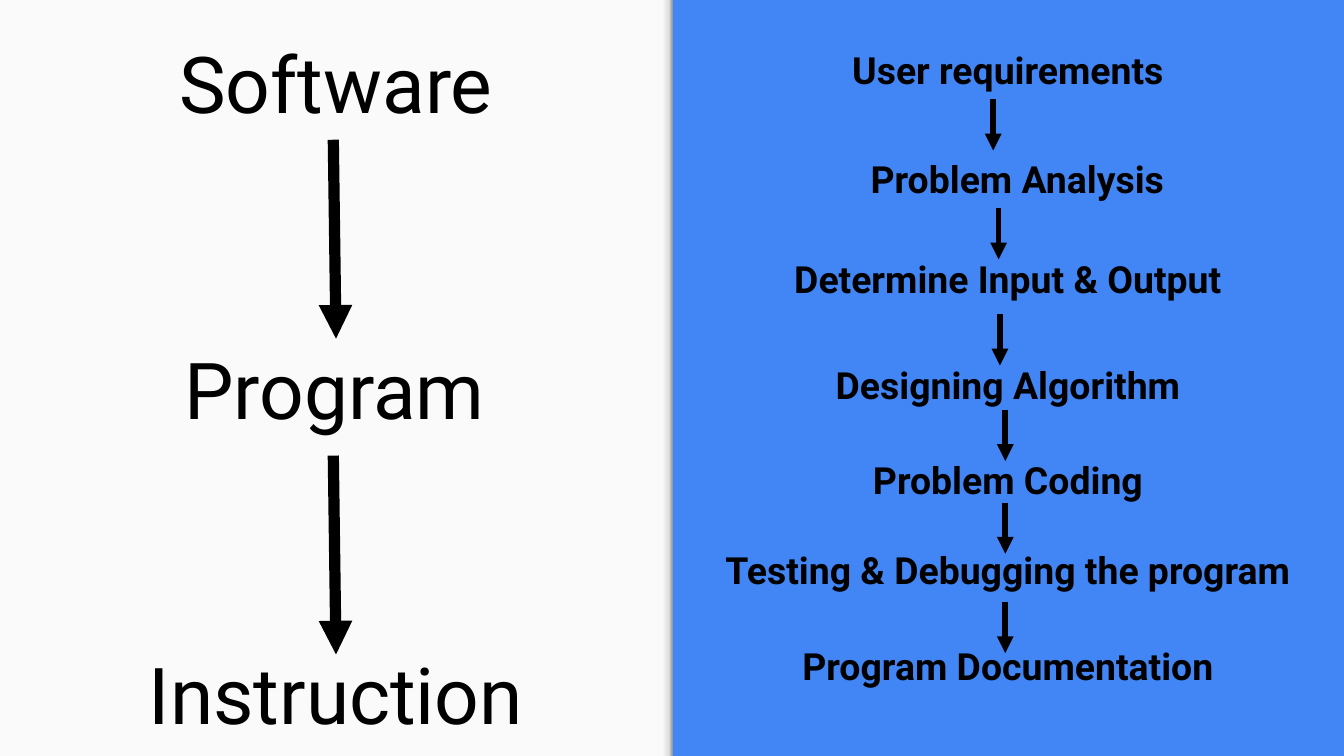
from copy import deepcopy

from lxml.etree import SubElement
from pptx import Presentation
from pptx.dml.color import RGBColor
from pptx.enum.shapes import MSO_CONNECTOR, MSO_SHAPE
from pptx.enum.text import MSO_ANCHOR, PP_ALIGN
from pptx.oxml.ns import qn
from pptx.util import Inches, Pt

WIDTH = 10
HEIGHT = WIDTH * 9 / 16
LABEL_WIDTH, LABEL_HEIGHT = 4.42, 0.77
BLACK, BLUE, PALE = "000000", "4285F4", "FAFAFA"
EDGE_STOPS = [(0, "F9F9F9"), (0.36, "F9F9F9"), (0.8, "DEDEDE"), (1, "999999")]

# Label text, left, top
LEVELS = [
    ("Software", 0.29, 0.23),
    ("Program", 0.28, 2.5),
    ("Instruction", 0.29, 4.77),
]
STEPS = [
    ("User requirements", 5.29, 0.13),
    ("Problem Analysis", 5.36, 0.94),
    ("Determine Input & Output", 5.29, 1.69),
    ("Designing Algorithm", 5.29, 2.48),
    ("Problem Coding", 5.29, 3.18),
    ("Testing & Debugging the program", 5.29, 3.85),
    ("Program Documentation", 5.29, 4.57),
]
# Arrow start: x, y
LEVEL_ARROWS = [(2.48, 1.04), (2.48, 3.39)]
STEP_ARROWS = [(7.39, 0.74), (7.43, 1.55), (7.44, 2.34),
               (7.48, 3.05), (7.48, 3.74), (7.48, 4.48)]


def color(value):
    return RGBColor.from_string(value)


def set_format(target, values):
    for name, value in values.items():
        setattr(target, name, value)


def add_rectangle(slide, left, top, width, height):
    shape = slide.shapes.add_shape(
        MSO_SHAPE.RECTANGLE, *map(Inches, (left, top, width, height)))
    shape.shadow.inherit = False
    shape.line.fill.background()
    return shape


def add_panel(slide):
    panel = add_rectangle(slide, 0, 0, WIDTH / 2, HEIGHT)
    panel.fill.solid()
    panel.fill.fore_color.rgb = color(PALE)


def add_edge_shade(slide):
    """Shade the panel's right edge with a turned gradient strip."""
    shade = add_rectangle(slide, 2.13, 2.75, HEIGHT, 0.12)
    shade.rotation = 90
    shade.fill.gradient()
    shade.fill.gradient_angle = 90
    stop_list = shade.fill._fill._gradFill.gsLst
    while len(stop_list) < len(EDGE_STOPS):
        stop_list.append(deepcopy(stop_list[0]))
    for stop, (position, value) in zip(shade.fill.gradient_stops, EDGE_STOPS):
        stop.position = position
        stop.color.rgb = color(value)


def add_label(slide, text, left, top, size, bold):
    box = slide.shapes.add_textbox(
        *map(Inches, (left, top, LABEL_WIDTH, LABEL_HEIGHT)))
    frame = box.text_frame
    margins = {f"margin_{side}": Inches(0.1)
               for side in ("left", "top", "right", "bottom")}
    set_format(frame, {"word_wrap": True,
                       "vertical_anchor": MSO_ANCHOR.MIDDLE, **margins})
    paragraph = frame.paragraphs[0]
    paragraph.alignment = PP_ALIGN.CENTER
    run = paragraph.add_run()
    run.text = text
    set_format(run.font, {"name": "Roboto", "size": Pt(size), "bold": bold})
    run.font.color.rgb = color(BLACK)


def add_arrow(slide, x, y, shift, length, weight):
    arrow = slide.shapes.add_connector(
        MSO_CONNECTOR.STRAIGHT, *map(Inches, (x, y, x + shift, y + length)))
    arrow.line.width = Pt(weight)
    arrow.line.color.rgb = color(BLACK)
    SubElement(arrow.line._get_or_add_ln(), qn("a:tailEnd"), type="triangle")
    SubElement(arrow._element.spPr, qn("a:effectLst"))


def main():
    presentation = Presentation()
    set_format(presentation, {"slide_width": Inches(WIDTH),
                              "slide_height": Inches(HEIGHT)})
    slide = presentation.slides.add_slide(presentation.slide_layouts[6])
    background = slide.background.fill
    background.solid()
    background.fore_color.rgb = color(BLUE)

    add_panel(slide)
    add_edge_shade(slide)
    for text, left, top in LEVELS:
        add_label(slide, text, left, top, size=42, bold=False)
    for x, y in LEVEL_ARROWS:
        add_arrow(slide, x, y, shift=0.02, length=1.48, weight=6)
    for text, left, top in STEPS:
        add_label(slide, text, left, top, size=20, bold=True)
    for x, y in STEP_ARROWS:
        add_arrow(slide, x, y, shift=0, length=0.38, weight=3)
    presentation.save("out.pptx")


if __name__ == "__main__":
    main()
